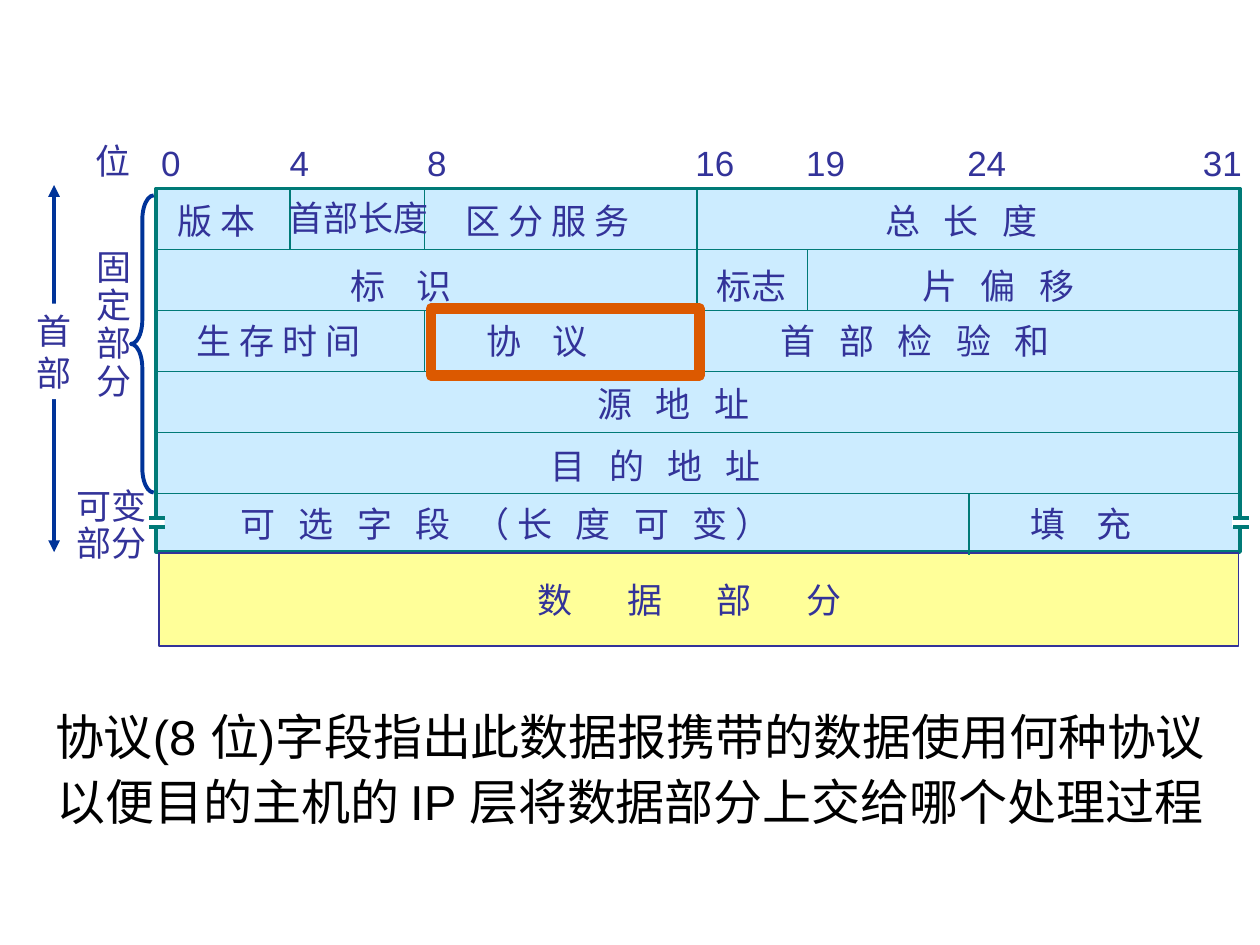
from dataclasses import dataclass

from pptx import Presentation
from pptx.dml.color import RGBColor
from pptx.enum.shapes import MSO_CONNECTOR, MSO_SHAPE
from pptx.enum.text import MSO_AUTO_SIZE, PP_ALIGN
from pptx.oxml.ns import qn
from pptx.util import Cm, Pt
from lxml import etree

RECT = MSO_SHAPE.RECTANGLE
BRACE = MSO_SHAPE.LEFT_BRACE
LINE = MSO_CONNECTOR.STRAIGHT
GROW = MSO_AUTO_SIZE.SHAPE_TO_FIT_TEXT
LEFT, CENTER = PP_ALIGN.LEFT, PP_ALIGN.CENTER


@dataclass
class Theme:
    font: str = "Arial"
    size: float = 20
    big: float = 28
    space: float = 4.45  # width of one blank at label size, in points
    ink: str = "333399"
    black: str = "000000"
    white: str = "FFFFFF"
    head: str = "CCECFF"
    data: str = "FFFF99"
    grid: str = "007A77"
    navy: str = "003399"
    mark: str = "DC5900"


class Board:
    def __init__(self, slide, theme):
        self.slide = slide
        self.theme = theme
        self.art = slide.shapes

    def group(self):
        """Send the next elements into a new group."""
        self.art = self.slide.shapes.add_group_shape().shapes

    def leave(self):
        """Send the next elements straight to the slide again."""
        self.art = self.slide.shapes

    def shape(self, kind, x, y, w, h, fill=None, line=None, width=1):
        item = self.art.add_shape(kind, Cm(x), Cm(y), Cm(w), Cm(h))
        item.shadow.inherit = False
        if fill:
            item.fill.solid()
            item.fill.fore_color.rgb = RGBColor.from_string(fill)
        else:
            item.fill.background()
        if line:
            item.line.color.rgb = RGBColor.from_string(line)
            item.line.width = Pt(width)
        else:
            item.line.fill.background()
        return item

    def line(self, x1, y1, x2, y2, color, width=1, arrows=False):
        item = self.art.add_connector(LINE, Cm(x1), Cm(y1), Cm(x2), Cm(y2))
        item.line.color.rgb = RGBColor.from_string(color)
        item.line.width = Pt(width)
        props = item.element.spPr
        if arrows:
            edge = props.find(qn("a:ln"))
            for end in ("a:headEnd", "a:tailEnd"):
                etree.SubElement(edge, qn(end), type="triangle")
        etree.SubElement(props, qn("a:effectLst"))

    def text(self, words, x, y, w, h=1.09, **style):
        box = self.art.add_textbox(Cm(x), Cm(y), Cm(w), Cm(h))
        self.label(box, words, **style)

    def label(self, box, words, gap=1, size=None, color=None,
              align=LEFT, lead=None, wrap=False):
        """Put words in a box; gap is the room between letters in blanks."""
        frame = box.text_frame
        frame.text = words
        frame.word_wrap = wrap
        frame.auto_size = GROW
        for para in frame.paragraphs:
            para.alignment = align
            if lead:
                para.line_spacing = lead
            for run in para.runs:
                font = run.font
                font.name = self.theme.font
                font.size = Pt(size or self.theme.size)
                font.color.rgb = RGBColor.from_string(color or self.theme.ink)
                if gap > 1:
                    # the blank and the letter before it share the extra width
                    extra = (gap - 1) * self.theme.space / 2
                    props = run._r.get_or_add_rPr()
                    props.set("spc", str(round(extra * 100)))


X, Y, WIDE, ROW = 3.15, 3.8, 21.85, 1.23
END = X + WIDE

# left, first row edge, last row edge
COLS = [(5.84, 0, 1), (8.56, 0, 1), (8.56, 2, 3), (14.05, 0, 3),
        (16.28, 1, 2), (19.53, 5, 6)]

TICKS = [("0", 3), ("4", 5.59), ("8", 8.36), ("16", 13.77),
         ("19", 16), ("24", 19.25), ("31", 24)]

# top of the text, then (words, gap, left, width)
FIELDS = [
    (3.89, [("版 本", 1, 3.33, 2.26), ("区 分 服 务", 1, 9.14, 4.39),
            ("总 长 度", 3, 17.6, 4.75)]),
    (3.84, [("首部长度", 1, 5.56, 3.33)]),
    (5.21, [("标 识", 4, 6.81, 3.33), ("标志", 1, 14.2, 1.93),
            ("片 偏 移", 3, 18.34, 4.75)]),
    (6.32, [("生 存 时 间", 1, 3.71, 4.39), ("协 议", 4, 9.55, 3.33),
            ("首 部 检 验 和", 3, 15.49, 8.28)]),
    (7.59, [("源 地 址", 3, 11.79, 4.75)]),
    (8.84, [("目 的 地 址", 3, 10.85, 6.5)]),
    (10.01, [("可 选 字 段 （长 度 可 变）", 3, 4.6, 14.63),
             ("填 充", 4, 20.52, 3.33)]),
]


def header(board):
    theme = board.theme
    board.shape(RECT, X, Y, WIDE, 7.33, theme.head, theme.grid, 2)
    board.shape(RECT, 3.2, 11.15, 21.77, 1.88, theme.data, theme.ink)
    for row in range(1, 6):
        board.line(X, Y + ROW * row, END, Y + ROW * row, theme.grid)
    for x, first, last in COLS:
        board.line(x, Y + ROW * first, x, Y + ROW * last, theme.grid)
    for words, x in TICKS:
        board.text(words, x, 2.72, 0.48 + 0.41 * len(words))
    for y, fields in FIELDS:
        for words, gap, x, w in fields:
            board.text(words, x, y, w, gap=gap)
    board.text("数 据 部 分", 10.59, 11.53, 8.08, gap=7, wrap=True)


def sides(board):
    theme = board.theme
    board.line(1.09, 3.73, 1.09, 11.13, theme.navy, 2.25, arrows=True)
    plate = board.shape(RECT, 0.48, 6.12, 1.22, 1.93, theme.white)
    board.label(plate, "首\n部")
    board.text("位", 1.68, 2.69, 1.22)
    board.text("固\n定\n部\n分", 1.7, 4.93, 1.22, 3.3, lead=0.9)
    board.text("可变\n部分", 1.3, 9.73, 1.93, 1.78, lead=0.9)
    brace = board.shape(BRACE, 2.64, 3.94, 0.46, 5.99, None, theme.navy, 2.25)
    brace.adjustments[0] = 1.06
    for x in (2.98, 24.84):
        board.group()
        board.shape(RECT, x, 10.44, 0.34, 0.18, theme.white)
        for y in (10.44, 10.62):
            board.line(x + 0.02, y, x + 0.34, y, theme.grid, 2)
    board.leave()


def note(board):
    theme = board.theme
    board.group()
    board.text("协议(8 位)字段指出此数据报携带的数据使用何种协议\n"
               "以便目的主机的 IP 层将数据部分上交给哪个处理过程",
               0.38, 14, 24.64, 2.87, size=theme.big, color=theme.black,
               align=CENTER, lead=1.1)
    board.shape(RECT, 8.69, 6.22, 5.41, 1.35, None, theme.mark, 6)
    board.leave()


def main():
    deck = Presentation()
    deck.slide_width, deck.slide_height = Cm(25.4), Cm(19.05)
    board = Board(deck.slides.add_slide(deck.slide_layouts[6]), Theme())
    header(board)
    sides(board)
    note(board)
    deck.save("out.pptx")


if __name__ == "__main__":
    main()
